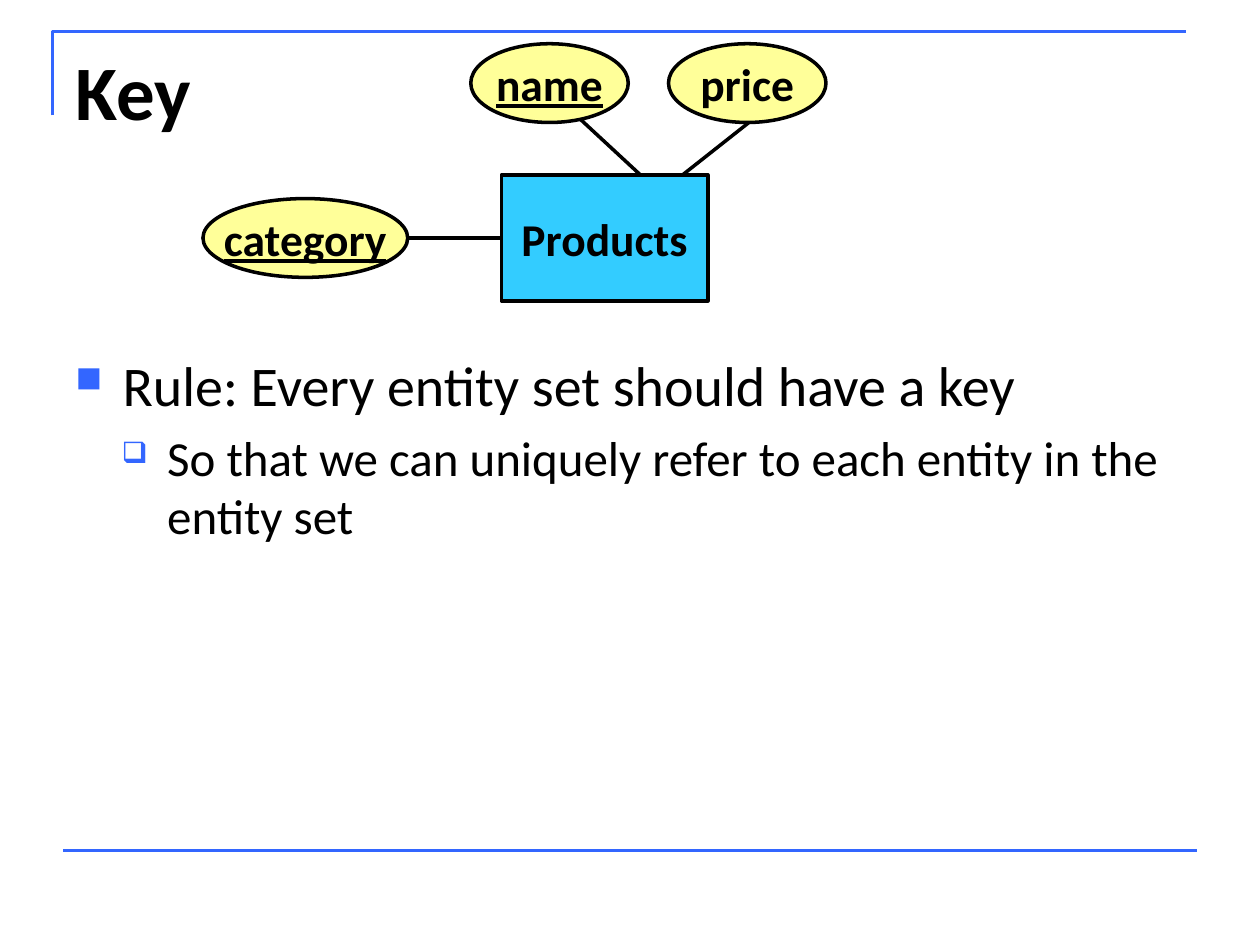
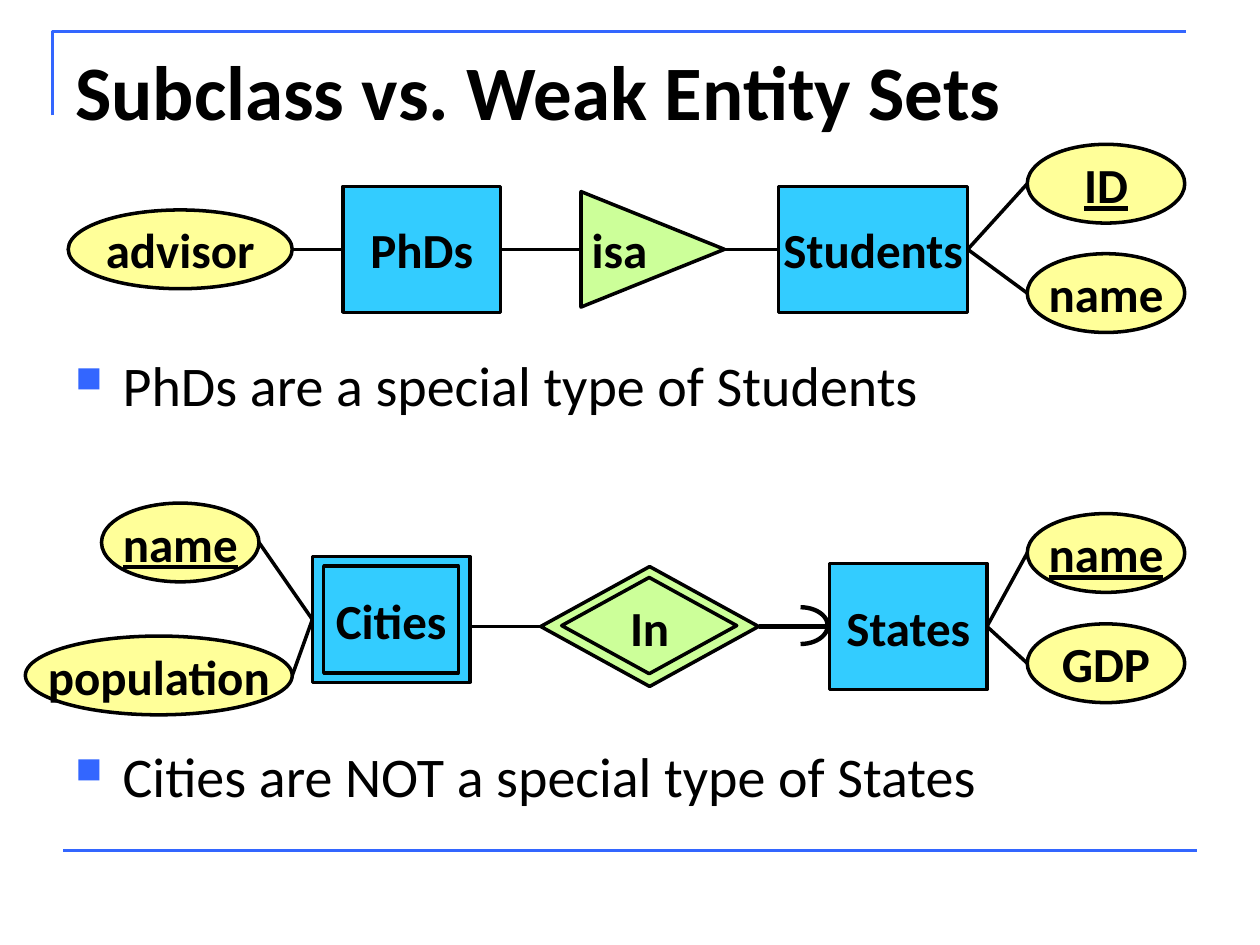
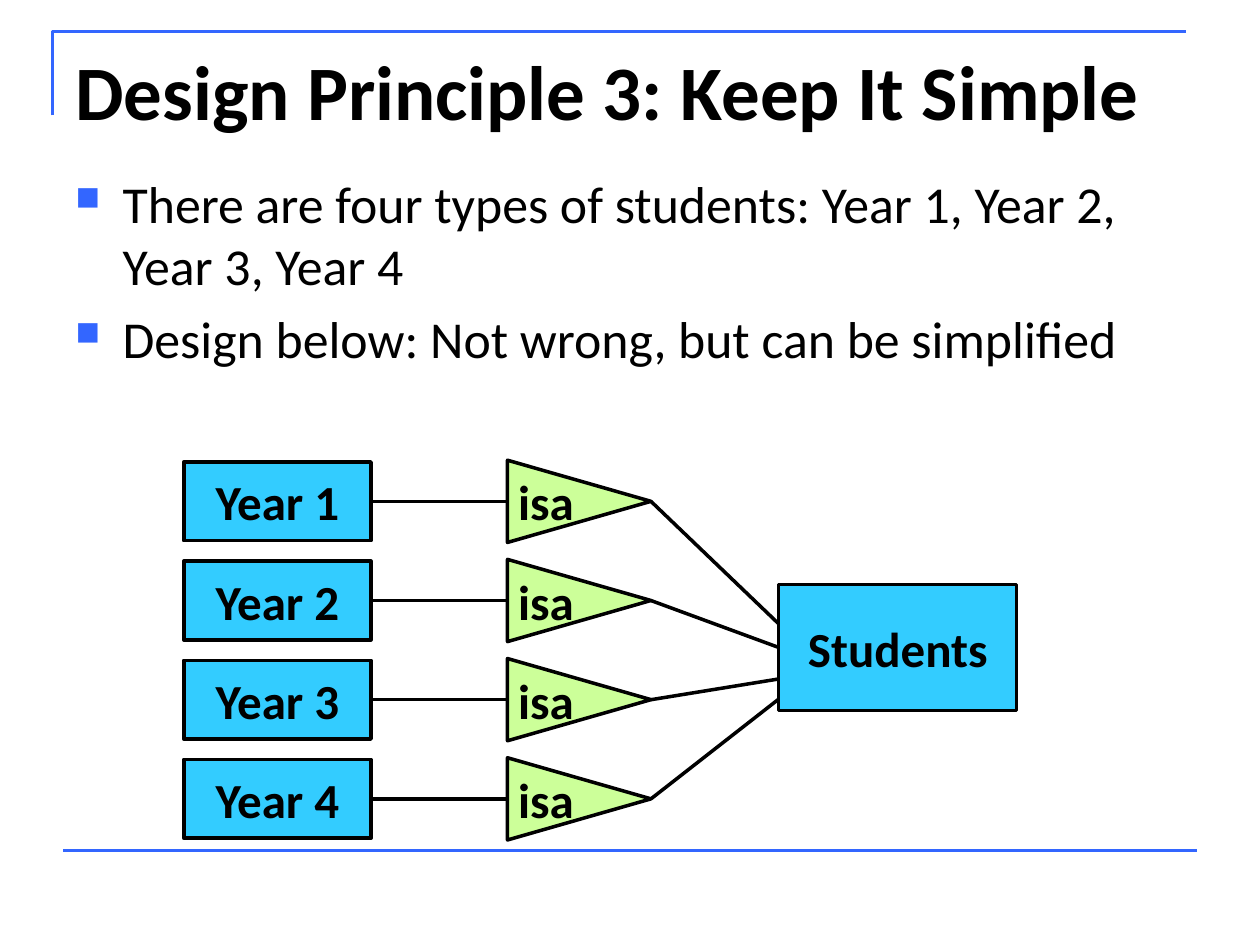
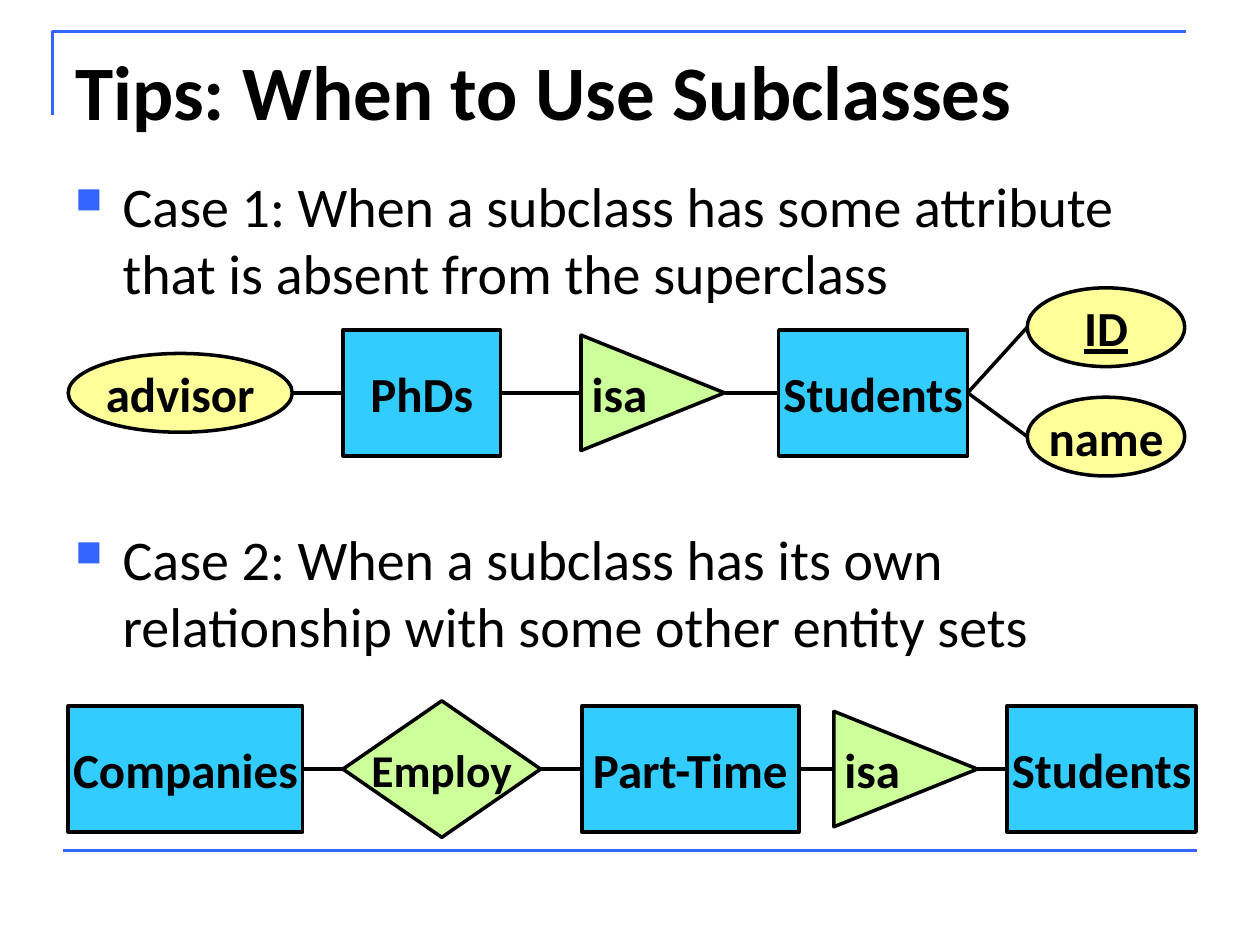
"""Build four slides on keys, subclasses and weak entity sets."""
from collections import namedtuple
from itertools import pairwise

from lxml.etree import SubElement
from pptx import Presentation
from pptx.dml.color import RGBColor
from pptx.enum.shapes import MSO_CONNECTOR, MSO_SHAPE
from pptx.enum.text import MSO_ANCHOR, PP_ALIGN
from pptx.oxml.ns import qn
from pptx.util import Pt

BLACK = RGBColor(0x00, 0x00, 0x00)
BLUE = RGBColor(0x33, 0x66, 0xFF)
CYAN = RGBColor(0x33, 0xCC, 0xFF)
YELLOW = RGBColor(0xFF, 0xFF, 0x99)
GREEN = RGBColor(0xCC, 0xFF, 0x99)
FONT = "Calibri"

KINDS = {
    "entity": (MSO_SHAPE.RECTANGLE, CYAN),
    "trait": (MSO_SHAPE.OVAL, YELLOW),
    "bond": (MSO_SHAPE.DIAMOND, GREEN),
    "isa": (MSO_SHAPE.ISOSCELES_TRIANGLE, GREEN),
    "box": (MSO_SHAPE.RECTANGLE, None),
    "gem": (MSO_SHAPE.DIAMOND, None),
}
BULLETS = [("\u25a0", 65, 27, 27), ("\u2751", 60, 52.5, 26)]

Node = namedtuple("Node", "kind text left mid wide tall size key")
Point = namedtuple("Point", "text size level before", defaults=(32, 0, None))


def entity(text, left, mid, wide=90, tall=72, size=28):
    """Describe an entity set."""
    return Node("entity", text, left, mid, wide, tall, size, False)


def trait(text, left, mid, wide=90, size=28, key=False):
    """Describe an attribute."""
    return Node("trait", text, left, mid, wide, 45, size, key)


def bond(text, left, mid, wide, tall, size=28, kind="bond"):
    """Describe a relationship or an inner outline."""
    return Node(kind, text, left, mid, wide, tall, size, False)


def isa(left, mid, tall=66):
    """Describe a subclass triangle."""
    return bond("isa", left, mid, 82, tall, kind="isa")


def join(one, two):
    """Give the line from the right of one node to the left of the next."""
    return (one.left + one.wide, one.mid, two.left, two.mid)


def chain(*nodes):
    """Give the lines that join nodes in a row."""
    return [join(one, two) for one, two in pairwise(nodes)]


def campus(mid):
    """Give the nodes and lines of the PhD subclass diagram."""
    row = [trait("advisor", 39, mid, 128), entity("PhDs", 196, mid),
           isa(332, mid), entity("Students", 445, mid, 108)]
    ends = [trait("ID", 587, mid - 37.5, key=True), trait("name", 587, mid + 25)]
    return row + ends, chain(*row) + [join(row[-1], end) for end in ends]


def key_plan():
    """Give the product diagram."""
    item = entity("Products", 286.5, 136, 118, size=26)
    group = trait("category", 116, 136, 117, size=26, key=True)
    tops = [trait("name", 269, 47.5, size=26, key=True),
            trait("price", 382, 47.5, size=26)]
    lines = [join(group, item), (332, 68.5, 366, 100), (428, 70, 390, 100)]
    return [item, group] + tops, lines


def weak_plan():
    """Give the subclass diagram and the weak entity diagram."""
    nodes, lines = campus(142.5)
    city, state = entity("Cities", 178.5, 354), entity("States", 474, 358)
    link = bond("In", 309, 358, 124.5, 68.5)
    ins = [trait("name", 58, 310, key=True), trait("population", 14.5, 386, 152.5)]
    outs = [trait("name", 587, 316, key=True), trait("GDP", 587, 379)]
    inner = [bond("", 185, 354, 77, 61, kind="box"),
             bond("", 321, 357.5, 100, 55, kind="gem")]
    lines += [join(end, city) for end in ins] + [join(state, end) for end in outs]
    lines += [(268.5, 358, 309, 358), join(link, state) + (2.5,)]
    return nodes + [city, state, link] + ins + outs + inner, lines


def year_plan():
    """Give the four year subclasses."""
    whole = entity("Students", 445, 370, 136)
    nodes, lines = [whole], []
    for step, stop in enumerate((356.5, 370, 388, 399.5)):
        mid = 286.5 + 56.67 * step
        year, sub = entity(f"Year {step + 1}", 105, mid, 107, 45), isa(290, mid, 47)
        nodes += [year, sub]
        lines += [join(year, sub), (372, mid, whole.left, stop)]
    return nodes, lines


def tips_plan():
    """Give the subclass diagram and the employment diagram."""
    nodes, lines = campus(224.5)
    row = [entity("Companies", 39, 439.5, 134),
           bond("Employ", 196, 439.5, 113, 78, 26),
           entity("Part-Time", 332.5, 439.5, 124),
           isa(476.5, 439.5), entity("Students", 575.5, 439.5, 108)]
    return nodes + row, lines + chain(*row)


SLIDES = [
    ("Key", key_plan(), [(196.5, 286, [
        Point("Rule: Every entity set should have a key"),
        Point("So that we can uniquely refer to each entity in the entity set", 28, 1)])]),
    ("Subclass vs. Weak Entity Sets", weak_plan(), [(196.5, 286, [
        Point("PhDs are a special type of Students"),
        Point("Cities are NOT a special type of States", before=185)])]),
    ("Design Principle 3: Keep It Simple", year_plan(), [(94.5, 108, [
        Point("There are four types of students: Year 1, Year 2, Year 3, Year 4", 29.6),
        Point("Design below: Not wrong, but can be simplified", 29.6)])]),
    ("Tips: When to Use Subclasses", tips_plan(), [
        (94.5, 87, [Point("Case 1: When a subclass has some attribute "
                          "that is absent from the superclass")]),
        (296, 87, [Point("Case 2: When a subclass has its own "
                         "relationship with some other entity sets")])]),
]
ARC = (442, 347, 31, 21)


def write(para, text, size=28, bold=False, under=False, align=PP_ALIGN.LEFT):
    """Put formatted text in a paragraph."""
    para.alignment = align
    run = para.add_run()
    run.text = text
    font = run.font
    font.name, font.size, font.bold, font.underline = FONT, Pt(size), bold, under
    font.color.rgb = BLACK


def indent(para, left, hang=0):
    """Set the indents of a paragraph and return its properties."""
    props = para._p.get_or_add_pPr()
    props.set("marL", str(Pt(left)))
    props.set("indent", str(-Pt(hang)))
    return props


def mark(para, level):
    """Give a paragraph its bullet."""
    char, part, left, hang = BULLETS[level]
    props = indent(para, left, hang)
    hue = SubElement(props, qn("a:buClr"))
    SubElement(hue, qn("a:srgbClr")).set("val", str(BLUE))
    SubElement(props, qn("a:buSzPct")).set("val", str(part * 1000))
    SubElement(props, qn("a:buChar")).set("char", char)


def stroke(slide, x1, y1, x2, y2, width=2, color=BLACK):
    """Draw a straight line."""
    line = slide.shapes.add_connector(
        MSO_CONNECTOR.STRAIGHT, Pt(x1), Pt(y1), Pt(x2), Pt(y2))
    line.line.color.rgb, line.line.width = color, Pt(width)
    SubElement(line._element.spPr, qn("a:effectLst"))


def paint(shape, fill=None, color=BLACK, width=2):
    """Set the fill and outline of a shape."""
    shape.shadow.inherit = False
    if fill is None:
        shape.fill.background()
    else:
        shape.fill.solid()
        shape.fill.fore_color.rgb = fill
    shape.line.color.rgb, shape.line.width = color, Pt(width)


def draw(slide, node):
    """Draw a node with its label."""
    form, fill = KINDS[node.kind]
    turn = node.kind == "isa"
    wide, tall = (node.tall, node.wide) if turn else (node.wide, node.tall)
    left = node.left + (node.wide - wide) / 2
    shape = slide.shapes.add_shape(
        form, Pt(left), Pt(node.mid - tall / 2), Pt(wide), Pt(tall))
    paint(shape, fill)
    if not node.text:
        return
    frame = shape.text_frame
    frame.word_wrap, frame.vertical_anchor = False, MSO_ANCHOR.MIDDLE
    para = frame.paragraphs[0]
    write(para, node.text, size=node.size, bold=True, under=node.key,
          align=PP_ALIGN.LEFT if turn else PP_ALIGN.CENTER)
    if turn:
        shape.rotation = 90
        frame.margin_left = frame.margin_right = 0
        frame.margin_top = frame.margin_bottom = 0
        frame._txBody.bodyPr.set("vert", "vert270")
        indent(para, 6)


def panel(slide, top, tall):
    """Add a wrapping text box across the slide."""
    frame = slide.shapes.add_textbox(Pt(36), Pt(top), Pt(648), Pt(tall)).text_frame
    frame.word_wrap = True
    return frame


def base(slide, title):
    """Draw the shared frame and the title."""
    pen = slide.shapes.build_freeform(Pt(30), Pt(66))
    pen.add_line_segments([(Pt(30), Pt(18)), (Pt(678), Pt(18))], close=False)
    paint(pen.convert_to_shape(), color=BLUE, width=1.5)
    stroke(slide, 36, 486, 684, 486, 1.5, BLUE)
    write(panel(slide, 21.5, 90).paragraphs[0], title, size=44, bold=True)


def body(slide, top, tall, points):
    """Add a bulleted list."""
    frame = panel(slide, top, tall)
    for spot, point in enumerate(points):
        para = frame.add_paragraph() if spot else frame.paragraphs[0]
        write(para, point.text, size=point.size)
        para.space_before = Pt(point.before or point.size * 0.2)
        mark(para, point.level)


def main():
    """Build and save the slides."""
    deck = Presentation()
    deck.slide_width, deck.slide_height = Pt(720), Pt(540)
    for title, (nodes, lines), lists in SLIDES:
        slide = deck.slides.add_slide(deck.slide_layouts[6])
        base(slide, title)
        for part in lists:
            body(slide, *part)
        for line in lines:
            stroke(slide, *line)
        for node in nodes:
            draw(slide, node)
    arc = deck.slides[1].shapes.add_shape(MSO_SHAPE.ARC, *map(Pt, ARC))
    arc.adjustments[0], arc.adjustments[1] = 162, 54
    paint(arc, width=2.5)
    deck.save("out.pptx")


main()
